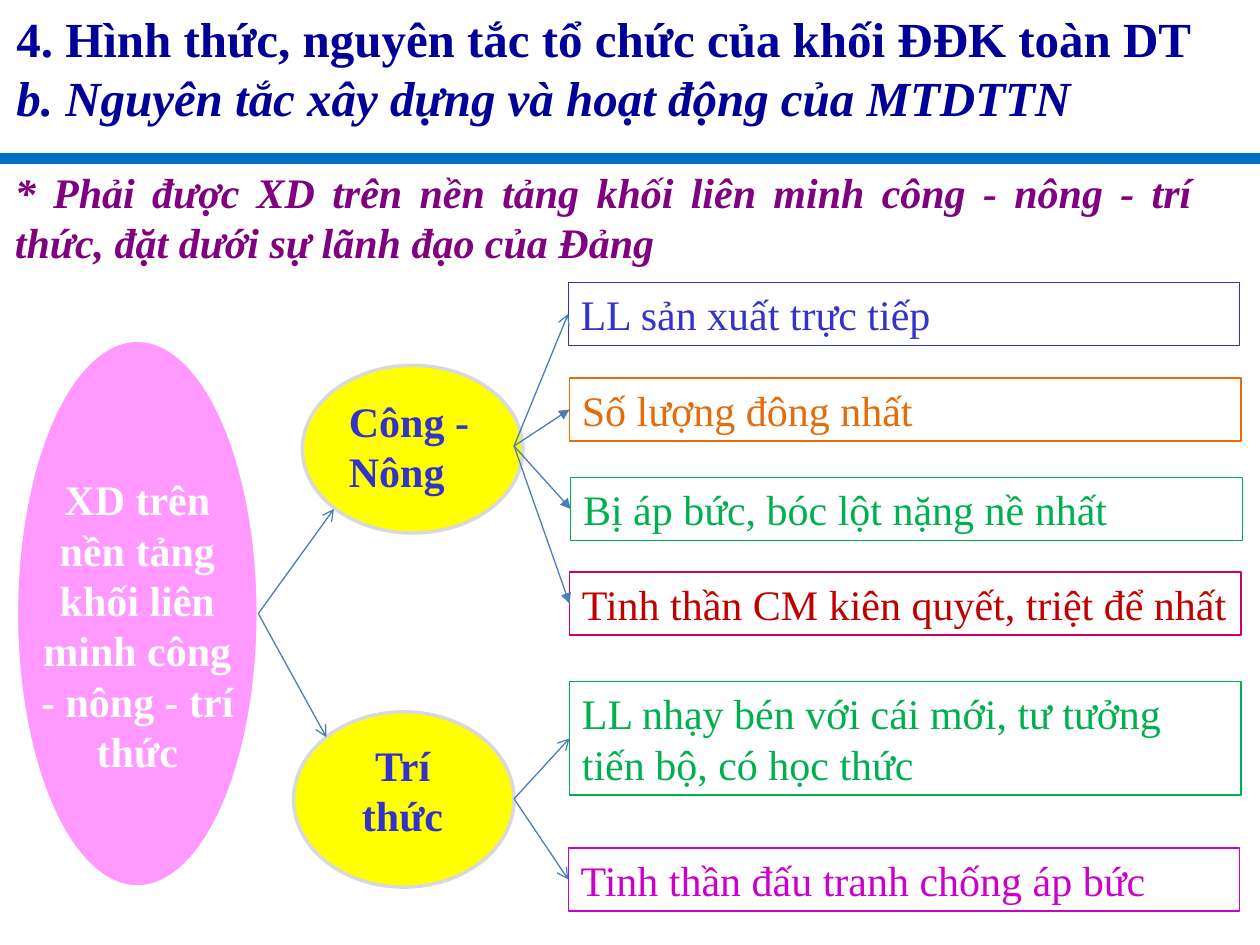
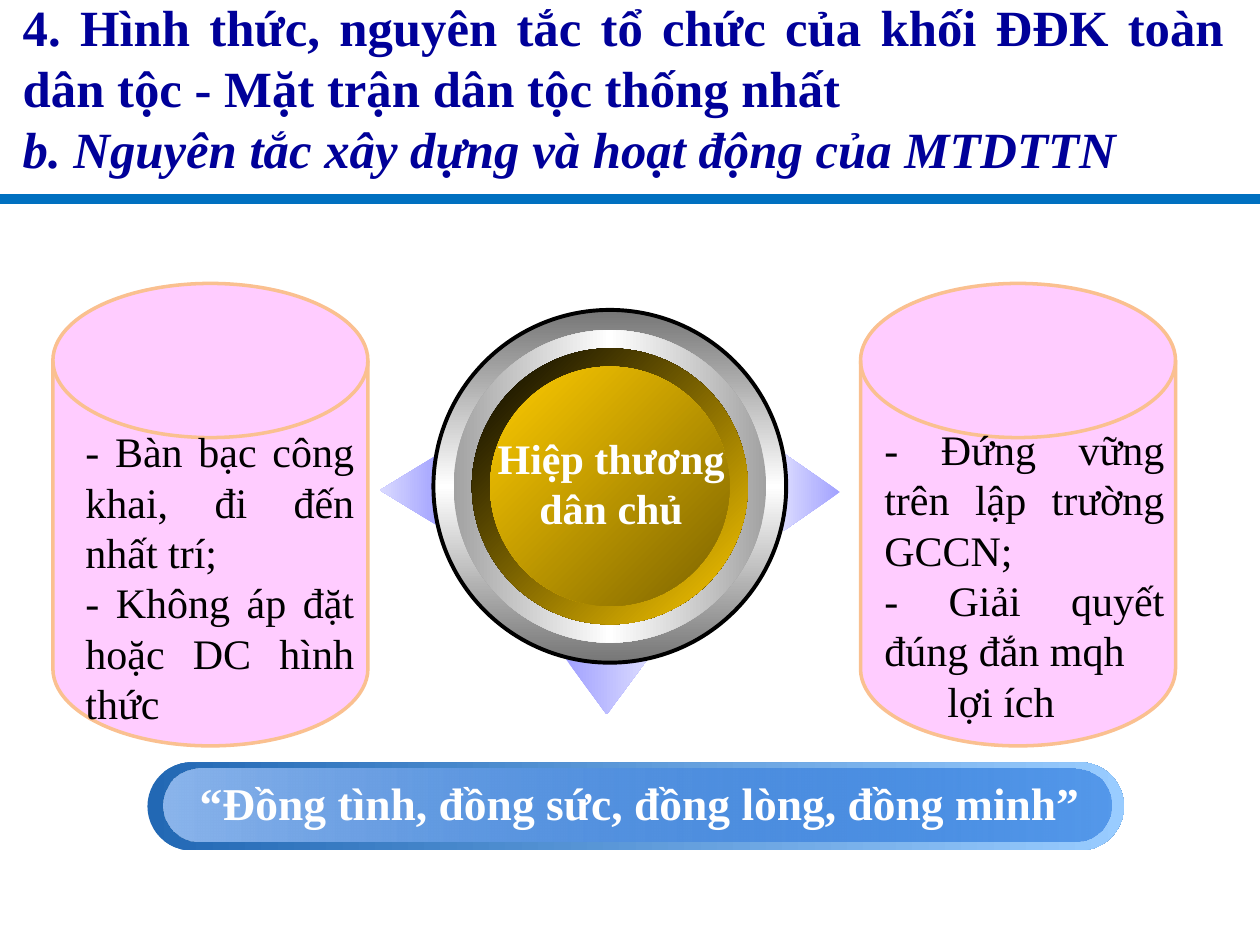
"""Builds two slides on how the national united front is organised."""
from dataclasses import dataclass

import lxml.etree
import pptx
import pptx.dml.color
import pptx.enum.shapes
import pptx.enum.text
import pptx.oxml.ns
import pptx.util

FONT = "Times New Roman"
COLUMNS, ROWS = 100, 75
COLORS = {
    "title": "000099", "band": "0070C0", "principle": "800080",
    "foundation": "FF99FF", "white": "FFFFFF", "black": "000000",
    "class": "FFFF00", "class_edge": "D9D9D9", "blue": "3333CC",
    "orange": "E46C0A", "green": "00B050", "crimson": "CC0066",
    "red": "C00000", "magenta": "CC00CC", "arrow": "4A7EBB",
    "drum": "FFCCFF", "drum_edge": "FAC090", "pointer": "A1A1FF",
    "pointer_tip": "DADAFF", "steel": "767676", "silver": "A2A2A2",
    "gold": "FFCC00", "bronze": "7C6300", "pill": "2268B4",
    "pill_end": "99CCFF", "gloss": "8BB5EC", "gloss_end": "1166D7",
    "text_shadow": "C0C0C0",
}
SHAPE = pptx.enum.shapes.MSO_SHAPE
ALIGN = pptx.enum.text.PP_ALIGN
qn = pptx.oxml.ns.qn

deck = pptx.Presentation()
deck.slide_width = pptx.util.Inches(10)
deck.slide_height = pptx.util.Inches(7.5)


@dataclass(frozen=True)
class Area:
    """A rectangle in grid columns and rows."""
    column: float
    row: float
    columns: float
    rows: float

    def emu(self) -> tuple[int, int, int, int]:
        """Return left, top, width and height in EMU."""
        return (across(self.column), down(self.row),
                across(self.columns), down(self.rows))


@dataclass(frozen=True)
class Line:
    """One paragraph of text."""
    text: str
    color: str
    size: float = 24
    align: ALIGN = ALIGN.LEFT
    bold: bool = False
    italic: bool = False
    indent: float = 0


@dataclass(frozen=True)
class Gradient:
    """A linear gradient of evenly spaced colours, angle clockwise."""
    stops: tuple[str, ...]
    angle: int = 0
    end_opacity: int = 100


@dataclass(frozen=True)
class Figure:
    """A filled preset shape."""
    kind: SHAPE
    area: Area
    fill: str | Gradient
    edge: str | None = None
    edge_width: float = 2
    rotation: int = 0
    adjustments: tuple[float, ...] = ()


@dataclass(frozen=True)
class Trait:
    """A framed trait of a social class, pointed to by an arrow."""
    text: str
    area: Area
    color: str
    edge: str
    head: str = "triangle"


def across(columns: float) -> int:
    """Convert grid columns to EMU."""
    return round(deck.slide_width * columns / COLUMNS)


def down(rows: float) -> int:
    """Convert grid rows to EMU."""
    return round(deck.slide_height * rows / ROWS)


def rgb(name: str) -> pptx.dml.color.RGBColor:
    """Look up a colour by name."""
    return pptx.dml.color.RGBColor.from_string(COLORS[name])


def write(frame, lines: list[Line]) -> None:
    """Fill a text frame with paragraphs."""
    frame.word_wrap = True
    frame.auto_size = pptx.enum.text.MSO_AUTO_SIZE.NONE
    frame.vertical_anchor = pptx.enum.text.MSO_ANCHOR.TOP
    for index, line in enumerate(lines):
        paragraph = frame.add_paragraph() if index else frame.paragraphs[0]
        paragraph.text = line.text
        paragraph.alignment = line.align
        if line.indent:
            paragraph._p.get_or_add_pPr().set("marL", str(across(line.indent)))
        font = paragraph.font
        font.name, font.size = FONT, pptx.util.Pt(line.size)
        font.bold, font.italic = line.bold, line.italic
        font.color.rgb = rgb(line.color)


def add_text(slide, area: Area, *lines: Line):
    """Add a wrapped text box."""
    box = slide.shapes.add_textbox(*area.emu())
    write(box.text_frame, list(lines))
    return box


def paint(shape, gradient: Gradient) -> None:
    """Give a shape a gradient fill."""
    shape.fill.gradient()
    shape.fill.gradient_angle = (360 - gradient.angle) % 360
    stops = shape._element.spPr.find(qn("a:gradFill")).find(qn("a:gsLst"))
    for stop in list(stops):
        stops.remove(stop)
    last = len(gradient.stops) - 1
    for index, name in enumerate(gradient.stops):
        stop = lxml.etree.SubElement(stops, qn("a:gs"), pos=str(100000 * index // last))
        color = lxml.etree.SubElement(stop, qn("a:srgbClr"), val=COLORS[name])
        if index == last and gradient.end_opacity < 100:
            lxml.etree.SubElement(color, qn("a:alpha"), val=str(gradient.end_opacity * 1000))


def add_figure(slide, figure: Figure) -> None:
    """Draw a preset shape."""
    shape = slide.shapes.add_shape(figure.kind, *figure.area.emu())
    shape.shadow.inherit = False
    shape.rotation = figure.rotation
    for index, value in enumerate(figure.adjustments):
        shape.adjustments[index] = value
    if isinstance(figure.fill, Gradient):
        paint(shape, figure.fill)
    else:
        shape.fill.solid()
        shape.fill.fore_color.rgb = rgb(figure.fill)
    if figure.edge:
        shape.line.color.rgb = rgb(figure.edge)
        shape.line.width = pptx.util.Pt(figure.edge_width)
    else:
        shape.line.fill.background()


def add_line(slide, start: tuple[float, float], end: tuple[float, float],
             color: str, width: float, head: str | None = None) -> None:
    """Draw a straight line, with an arrowhead if one is named."""
    line = slide.shapes.add_connector(
        pptx.enum.shapes.MSO_CONNECTOR.STRAIGHT,
        across(start[0]), down(start[1]), across(end[0]), down(end[1]))
    line.line.color.rgb = rgb(color)
    line.line.width = pptx.util.Pt(width)
    properties = line._element.spPr
    if head:
        lxml.etree.SubElement(properties.find(qn("a:ln")), qn("a:tailEnd"), type=head)
    lxml.etree.SubElement(properties, qn("a:effectLst"))


def add_titled_slide(area: Area, heading: str, size: float, band_row: float):
    """Add a slide with its two-part title and the band below it."""
    slide = deck.slides.add_slide(deck.slide_layouts.get_by_name("Title Only"))
    title = slide.shapes.title
    title.left, title.top, title.width, title.height = area.emu()
    write(title.text_frame, [
        Line(heading, "title", size, ALIGN.JUSTIFY, bold=True),
        Line("b. Nguyên tắc xây dựng và hoạt động của MTDTTN", "title", size,
             ALIGN.JUSTIFY, bold=True, italic=True),
    ])
    add_line(slide, (0, band_row), (COLUMNS, band_row), "band", 6)
    return slide


def add_traits(slide, source: tuple[float, float], traits: list[Trait]) -> None:
    """Draw framed traits and the arrows that fan out to them."""
    for trait in traits:
        area = trait.area
        frame = add_text(slide, area, Line(trait.text, trait.color))
        frame.line.color.rgb = rgb(trait.edge)
        frame.line.width = pptx.util.Pt(0.75)
        add_line(slide, source, (area.column, area.row + area.rows / 2),
                 "arrow", 0.75, trait.head)


def build_alliance() -> None:
    """Build the slide on the worker, farmer and intellectual alliance."""
    slide = add_titled_slide(
        Area(0.3, 0.2, 97.5, 10.4),
        "4. Hình thức, nguyên tắc tổ chức của khối ĐĐK toàn DT", 28, 12.6)
    add_text(slide, Area(0.2, 12.7, 95.4, 9), Line(
        "* Phải được XD trên nền tảng khối liên minh công - nông - trí thức, "
        "đặt dưới sự lãnh đạo của Đảng",
        "principle", align=ALIGN.JUSTIFY, bold=True, italic=True))
    for figure in (
        Figure(SHAPE.OVAL, Area(1.3, 27, 19.2, 43.4), "foundation", "white"),
        Figure(SHAPE.OVAL, Area(24, 29, 17.5, 13.3), "class", "class_edge"),
        Figure(SHAPE.OVAL, Area(23.3, 56.5, 17.5, 13.9), "class", "class_edge"),
    ):
        add_figure(slide, figure)
    add_text(slide, Area(2.2, 37.1, 17.4, 25), Line(
        "XD trên nền tảng khối liên minh công - nông - trí thức",
        "white", align=ALIGN.CENTER, bold=True))
    add_text(slide, Area(26.7, 30.9, 14.2, 9), Line("Công - Nông", "blue", bold=True))
    add_text(slide, Area(25.7, 58.2, 12.5, 9),
             Line("Trí thức", "blue", align=ALIGN.CENTER, bold=True))
    for target in ((26.5, 40.4), (25.9, 58.5)):
        add_line(slide, (20.5, 48.7), target, "arrow", 0.75, "arrow")
    add_traits(slide, (40.8, 35.4), [
        Trait("LL sản xuất trực tiếp", Area(45.1, 22.4, 53.3, 5), "blue", "blue", "arrow"),
        Trait("Số lượng đông nhất", Area(45.2, 30, 53.3, 5), "orange", "orange"),
        Trait("Bị áp bức, bóc lột nặng nề nhất", Area(45.3, 37.9, 53.3, 5), "green", "green"),
        Trait("Tinh thần CM kiên quyết, triệt để nhất", Area(45.2, 45.4, 53.3, 5),
              "red", "crimson"),
    ])
    add_traits(slide, (40.8, 63.4), [
        Trait("LL nhạy bén với cái mới, tư tưởng tiến bộ, có học thức",
              Area(45.2, 54.1, 53.3, 9), "green", "green", "arrow"),
        Trait("Tinh thần đấu tranh chống áp bức", Area(45.1, 67.3, 53.3, 5),
              "magenta", "magenta", "arrow"),
    ])


def add_slogan(slide) -> None:
    """Draw the slogan with its text shadow."""
    slogan = add_text(slide, Area(13.4, 61, 74.8, 5.4), Line(
        "“Đồng tình, đồng sức, đồng lòng, đồng minh”",
        "white", 26, ALIGN.CENTER, bold=True))
    run = slogan.text_frame.paragraphs[0].runs[0]
    effects = lxml.etree.SubElement(run._r.get_or_add_rPr(), qn("a:effectLst"))
    shadow = lxml.etree.SubElement(effects, qn("a:outerShdw"), dist="25400", dir="2700000")
    lxml.etree.SubElement(shadow, qn("a:srgbClr"), val=COLORS["text_shadow"])


def build_consultation() -> None:
    """Build the slide on democratic consultation."""
    slide = add_titled_slide(
        Area(0.8, -0.8, 97.5, 15.5),
        "4. Hình thức, nguyên tắc tổ chức của khối ĐĐK toàn dân tộc - "
        "Mặt trận dân tộc thống nhất", 29, 15.8)
    for area, rotation in ((Area(44.9, 52.3, 6.5, 4.4), 180),
                           (Area(29.6, 36.5, 5.9, 4.8), 270),
                           (Area(61.3, 36.8, 6.2, 4.5), 90)):
        add_figure(slide, Figure(
            SHAPE.UP_ARROW, area, Gradient(("pointer", "pointer_tip"), rotation),
            rotation=rotation, adjustments=(0.52, 1)))
    for diameter, gradient, edge in (
        (28, Gradient(("steel", "white", "steel"), 90), "black"),
        (24.8, Gradient(("silver", "white", "silver")), None),
        (21.9, Gradient(("black", "gold"), 45), None),
        (19, Gradient(("gold", "bronze"), 45), None),
    ):
        ring = Area(48.4 - diameter / 2, 38.6 - diameter / 2, diameter, diameter)
        add_figure(slide, Figure(SHAPE.OVAL, ring, gradient, edge, 2.25))
    add_text(slide, Area(37.9, 33.8, 21.2, 9), Line(
        "Hiệp thương dân chủ", "white", align=ALIGN.CENTER, bold=True))
    for column in (4.2, 68.3):
        add_figure(slide, Figure(SHAPE.FLOWCHART_MAGNETIC_DISK,
                                 Area(column, 22.5, 25, 36.7), "drum", "drum_edge"))
    for area, gradient in (
        (Area(11.7, 60.5, 77.5, 7), Gradient(("pill", "pill_end"))),
        (Area(13, 61, 75.2, 5.8), Gradient(("gloss", "gloss_end"), end_opacity=50)),
    ):
        add_figure(slide, Figure(SHAPE.ROUNDED_RECTANGLE, area, gradient,
                                 adjustments=(0.5,)))
    add_slogan(slide)
    add_text(slide, Area(5.8, 33.3, 23.3, 25),
             Line("- Bàn bạc công khai, đi đến nhất trí;", "black", align=ALIGN.JUSTIFY),
             Line("- Không áp đặt hoặc DC hình thức", "black", align=ALIGN.JUSTIFY))
    add_text(slide, Area(69.2, 33.1, 24.2, 25),
             Line("- Đứng vững trên lập trường GCCN;", "black", align=ALIGN.JUSTIFY),
             Line("- Giải quyết đúng đắn mqh", "black", align=ALIGN.JUSTIFY),
             Line("lợi ích", "black", align=ALIGN.JUSTIFY, indent=5))


if __name__ == "__main__":
    build_alliance()
    build_consultation()
    deck.save("out.pptx")
